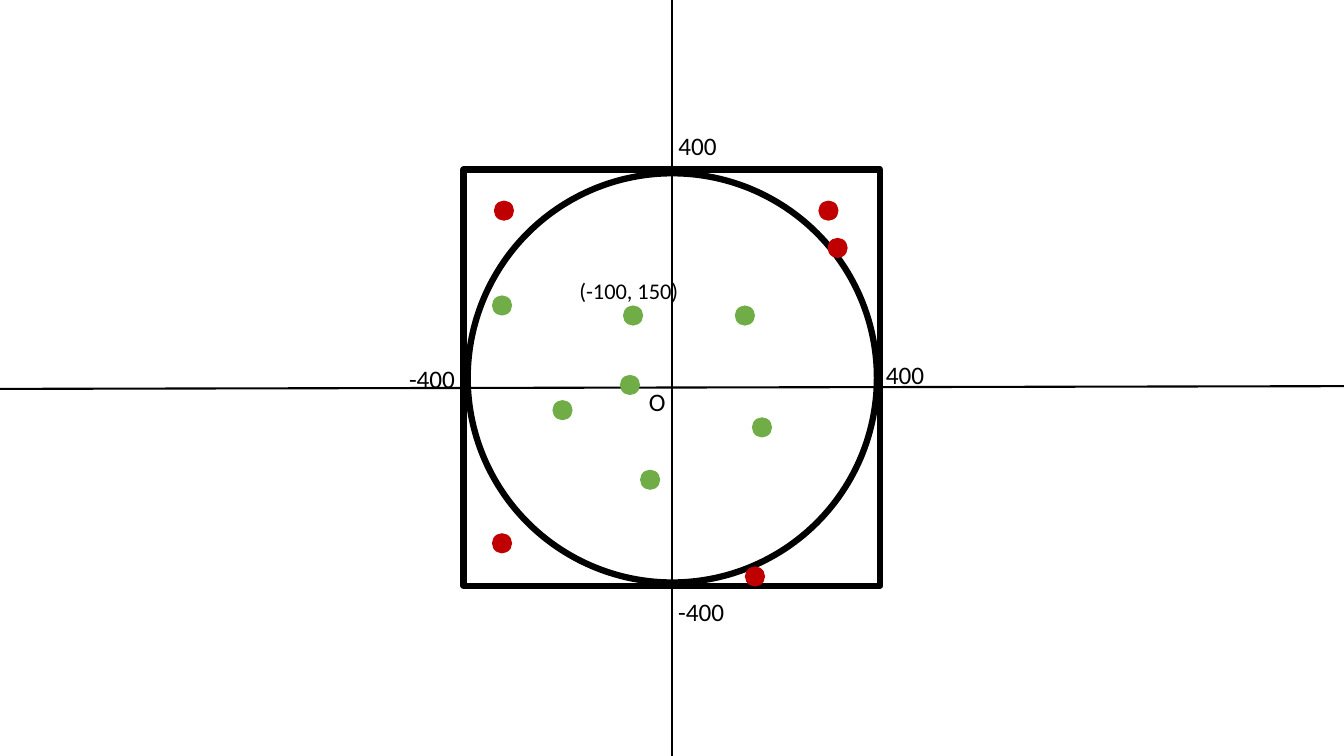
import pptx
import pptx.util
import pptx.dml.color
import pptx.enum.shapes
import pptx.enum.text
import pptx.oxml

Pt = pptx.util.Pt
KINDS = pptx.enum.shapes.MSO_SHAPE
COLORS = {"ink": "000000", "inside": "70AD47", "outside": "C00000"}
DOT = 14.4

INSIDE = [(351.4, 211), (524.9, 218.2), (457.2, 335.5), (394.6, 285.8),
          (537.1, 298.1), (445, 218.2), (442.8, 267.8)]
OUTSIDE = [(584.6, 143.3), (352.8, 143.3), (351.4, 380.9),
           (591.1, 169.9), (532.1, 404.6)]
LABELS = [("O", 456.5, 272.2, 26.6, 29, 18),
          ("400", 625.7, 253.4, 42.5, 29, 18),
          ("-400", 285.1, 255.6, 47.5, 29, 18),
          ("-400", 477.4, 422.6, 47.5, 29, 18),
          ("400", 477.4, 89.3, 42.5, 29, 18),
          ("(-100, 150)", 406.8, 194.4, 86.4, 26.6, 16)]


def tint(name):
    return pptx.dml.color.RGBColor.from_string(COLORS[name])


def add_axis(slide, x1, y1, x2, y2):
    axis = slide.shapes.add_connector(
        pptx.enum.shapes.MSO_CONNECTOR.STRAIGHT, Pt(x1), Pt(y1), Pt(x2), Pt(y2))
    axis.line.color.rgb = tint("ink")
    axis.line.width = Pt(1.5)
    props = axis.element.spPr
    props.append(pptx.oxml.parse_xml(
        '<a:effectLst xmlns:a="http://schemas.openxmlformats.org/drawingml/2006/main"/>'))


def add_shape(slide, kind, x, y, size):
    shape = slide.shapes.add_shape(kind, Pt(x), Pt(y), Pt(size), Pt(size))
    shape.shadow.inherit = False
    return shape


def add_frame(slide, kind, x, y, size):
    frame = add_shape(slide, kind, x, y, size)
    frame.fill.background()
    frame.line.color.rgb = tint("ink")
    frame.line.width = Pt(4.5)


def add_dot(slide, x, y, color):
    dot = add_shape(slide, KINDS.OVAL, x, y, DOT)
    dot.fill.solid()
    dot.fill.fore_color.rgb = tint(color)
    dot.line.fill.background()


def add_label(slide, text, x, y, width, height, size):
    box = slide.shapes.add_textbox(Pt(x), Pt(y), Pt(width), Pt(height))
    frame = box.text_frame
    frame.word_wrap = False
    frame.auto_size = pptx.enum.text.MSO_AUTO_SIZE.SHAPE_TO_FIT_TEXT
    frame.text = text
    font = frame.paragraphs[0].runs[0].font
    font.name = "Calibri"
    font.size = Pt(size)
    font.color.rgb = tint("ink")


def main():
    deck = pptx.Presentation()
    deck.slide_width = Pt(960)
    deck.slide_height = Pt(540)
    slide = deck.slides.add_slide(deck.slide_layouts[6])
    add_axis(slide, 979.2, 275.8, -50.4, 277.9)
    add_axis(slide, 480, -28.8, 480, 545)
    add_frame(slide, KINDS.RECTANGLE, 331.2, 121, 297.4)
    add_frame(slide, KINDS.OVAL, 334.1, 123.8, 292.3)
    for color, spots in (("inside", INSIDE), ("outside", OUTSIDE)):
        for x, y in spots:
            add_dot(slide, x, y, color)
    for label in LABELS:
        add_label(slide, *label)
    deck.save("out.pptx")


if __name__ == "__main__":
    main()
